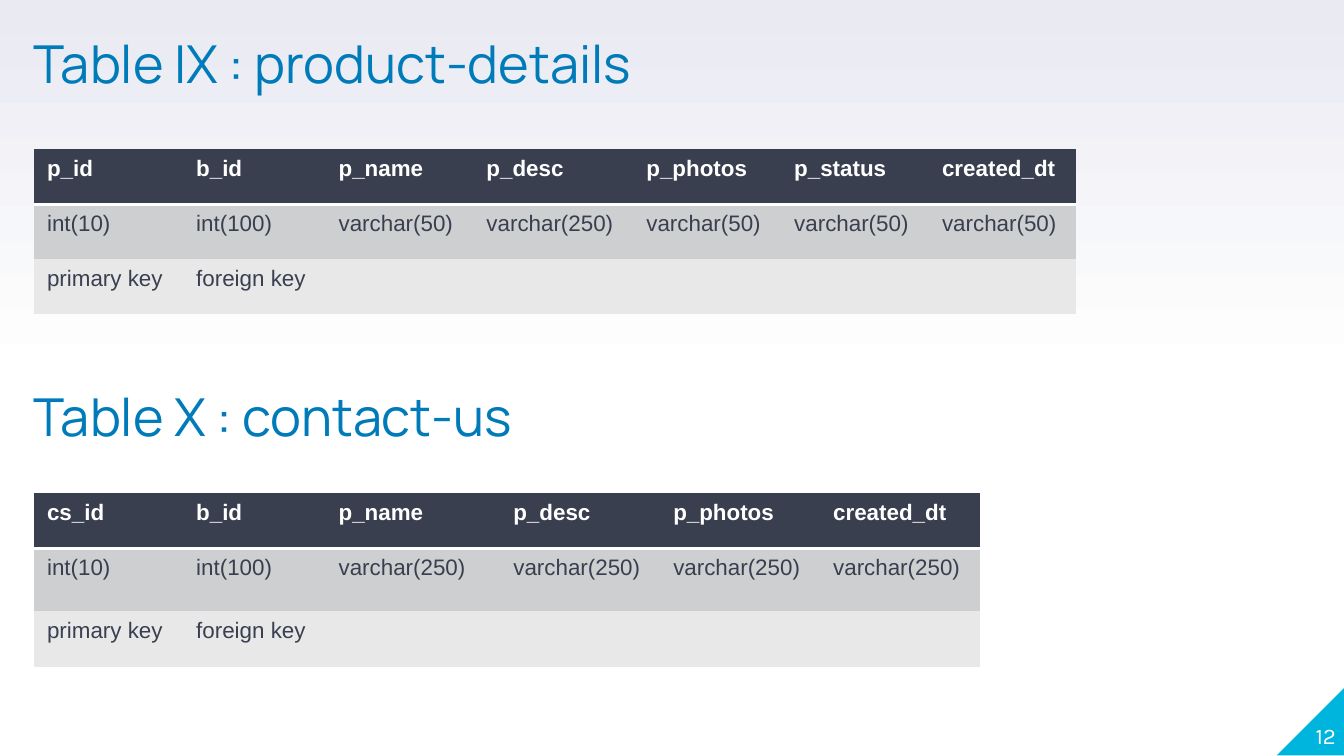
import copy

import pptx
import pptx.dml.color
import pptx.enum.shapes
import pptx.enum.text
import pptx.oxml
import pptx.oxml.ns
import pptx.util

Inches = pptx.util.Inches
Pt = pptx.util.Pt
RGBColor = pptx.dml.color.RGBColor
Align = pptx.enum.text.PP_ALIGN
Anchor = pptx.enum.text.MSO_ANCHOR
qn = pptx.oxml.ns.qn

WHITE = RGBColor(0xFF, 0xFF, 0xFF)
LAVENDER = RGBColor(0xE9, 0xEA, 0xF2)
CYAN = RGBColor(0x00, 0xB5, 0xDD)
BLUE = RGBColor(0x00, 0x7B, 0xB9)
SLATE = RGBColor(0x3A, 0x3F, 0x50)
GREY = RGBColor(0xCE, 0xCF, 0xD0)
PALE_GREY = RGBColor(0xE8, 0xE8, 0xE9)

NO_TABLE_STYLE = "{2D5ABB26-0587-4C30-8999-92F81FD0307C}"
LEFT = 0.25


def write_text(frame, text, *, font, size, color, bold=False, align=Align.LEFT, spacing=None):
    paragraph = frame.paragraphs[0]
    paragraph.alignment = align
    paragraph.line_spacing = spacing
    run = paragraph.add_run()
    run.text = text
    run.font.name = font
    run.font.size = Pt(size)
    run.font.bold = bold
    run.font.color.rgb = color


class SchemaSlide:
    row_fills = (SLATE, GREY, PALE_GREY)

    def __init__(self, presentation):
        self.slide = presentation.slides.add_slide(presentation.slide_layouts[6])

    def background(self):
        fill = self.slide.background.fill
        fill.gradient()
        fill.gradient_angle = 90
        for stop, color in zip(fill.gradient_stops, (WHITE, LAVENDER)):
            stop.color.rgb = color
        first_stop = next(self.slide.element.iter(qn("a:gs")))
        middle_stop = copy.deepcopy(first_stop)
        middle_stop.set("pos", "50000")
        first_stop.addnext(middle_stop)

    def corner(self, left, top, size):
        shape = self.slide.shapes.add_shape(
            pptx.enum.shapes.MSO_SHAPE.RIGHT_TRIANGLE,
            Inches(left), Inches(top), Inches(size), Inches(size),
        )
        shape.shadow.inherit = False
        shape.fill.solid()
        shape.fill.fore_color.rgb = CYAN
        shape.line.fill.background()
        shape.element.spPr.find(qn("a:xfrm")).set("flipH", "1")

    def text(self, text, left, top, width, height, anchor=Anchor.TOP, **style):
        box = self.slide.shapes.add_textbox(
            Inches(left), Inches(top), Inches(width), Inches(height)
        )
        frame = box.text_frame
        frame.word_wrap = True
        frame.vertical_anchor = anchor
        frame.margin_left = frame.margin_right = 0
        frame.margin_top = frame.margin_bottom = 0
        write_text(frame, text, **style)

    def title(self, text, top):
        self.text(text, LEFT, top, 5.03, 0.48,
                  font="Manrope", size=28, color=BLUE, spacing=0.8)

    def table(self, top, widths, heights, rows):
        graphic_frame = self.slide.shapes.add_table(
            len(rows), len(widths), Inches(LEFT), Inches(top),
            Inches(sum(widths)), Inches(sum(heights)),
        )
        table = graphic_frame.table
        next(graphic_frame.element.iter(qn("a:tableStyleId"))).text = NO_TABLE_STYLE
        for column, width in zip(table.columns, widths):
            column.width = Inches(width)
        for row, height in zip(table.rows, heights):
            row.height = Inches(height)
        for row_index, values in enumerate(rows):
            is_header = row_index == 0
            for cell in table.rows[row_index].cells:
                cell.fill.solid()
                cell.fill.fore_color.rgb = self.row_fills[row_index]
                if is_header:
                    self.bottom_border(cell)
            for cell, value in zip(table.rows[row_index].cells, values):
                write_text(cell.text_frame, value, font="Arial", size=12,
                           color=WHITE if is_header else SLATE, bold=is_header)

    def bottom_border(self, cell):
        border = pptx.oxml.parse_xml(
            f'<a:lnB {pptx.oxml.ns.nsdecls("a")} w="{Pt(2)}"><a:solidFill>'
            f'<a:srgbClr val="{WHITE}"/></a:solidFill></a:lnB>'
        )
        cell._tc.get_or_add_tcPr().insert(0, border)


def main():
    presentation = pptx.Presentation()
    presentation.slide_width = Inches(10)
    presentation.slide_height = Inches(10) * 9 // 16

    page = SchemaSlide(presentation)
    page.background()
    page.corner(9.5, 5.11, 0.51)
    page.text("12", 9.44, 5.06, 0.5, 0.51, anchor=Anchor.BOTTOM,
              font="Karla", size=12, color=WHITE, align=Align.RIGHT)

    keys = ["primary key", "foreign key"]
    page.title("Table IX : product-details", 0.32)
    page.table(
        1.11, [1.11, 1.06, 1.1, 1.19, 1.1, 1.1, 1.1], [0.41] * 3,
        [
            ["p_id", "b_id", "p_name", "p_desc", "p_photos", "p_status", "created_dt"],
            ["int(10)", "int(100)", "varchar(50)", "varchar(250)"] + ["varchar(50)"] * 3,
            keys,
        ],
    )
    page.title("Table X : contact-us", 2.95)
    page.table(
        3.67, [1.11, 1.06, 1.3, 1.19, 1.19, 1.19], [0.41, 0.47, 0.41],
        [
            ["cs_id", "b_id", "p_name", "p_desc", "p_photos", "created_dt"],
            ["int(10)", "int(100)"] + ["varchar(250)"] * 4,
            keys,
        ],
    )
    presentation.save("out.pptx")


if __name__ == "__main__":
    main()
